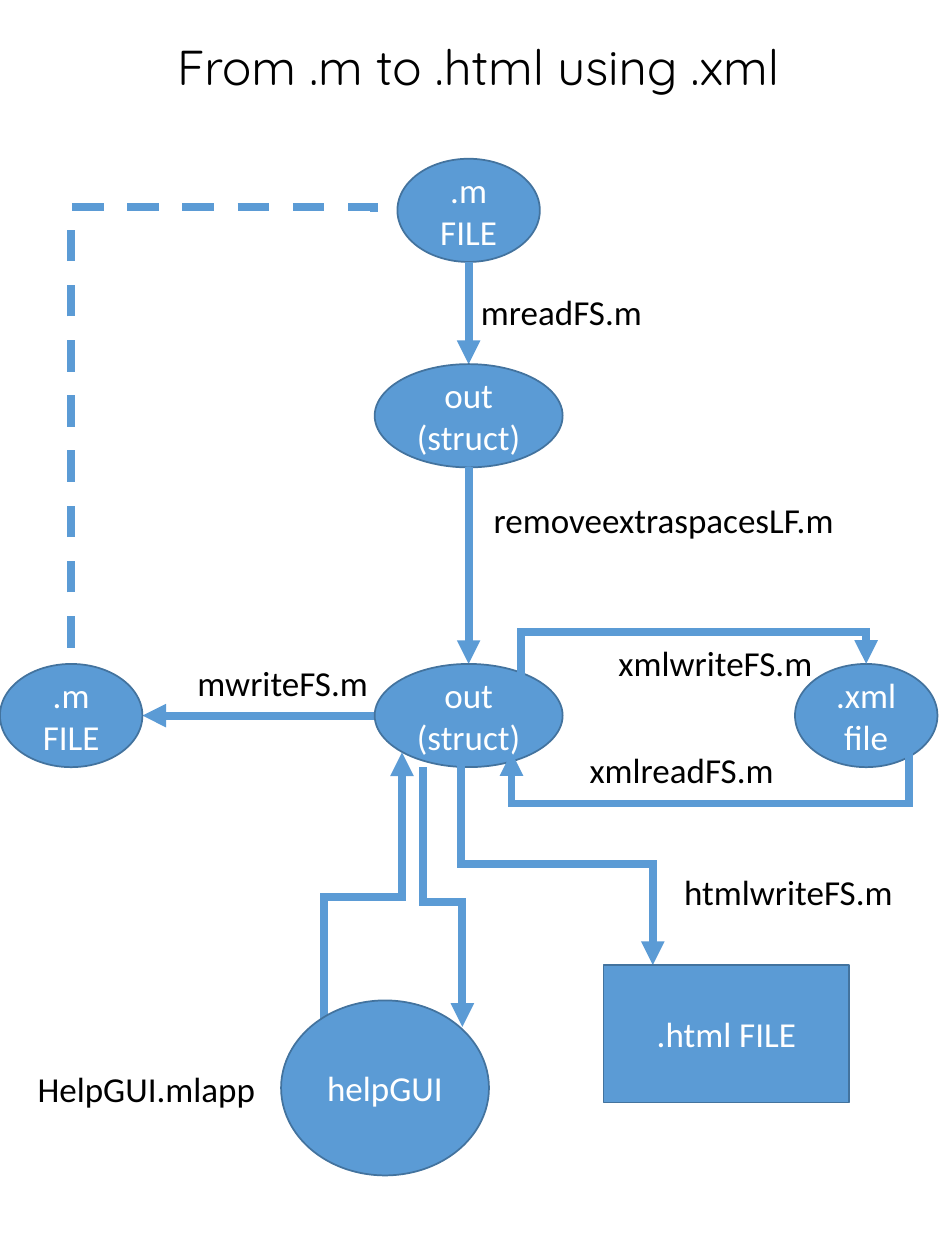
from lxml.etree import SubElement
from pptx import Presentation
from pptx.dml.color import RGBColor
from pptx.enum.dml import MSO_LINE
from pptx.enum.shapes import MSO_CONNECTOR, MSO_SHAPE
from pptx.enum.text import MSO_ANCHOR, MSO_AUTO_SIZE, PP_ALIGN
from pptx.oxml.ns import qn
from pptx.util import Pt

BLUE = RGBColor(0x5B, 0x9B, 0xD5)
EDGE = RGBColor(0x43, 0x73, 0x9E)
WHITE = RGBColor(0xFF, 0xFF, 0xFF)
BLACK = RGBColor(0, 0, 0)

FILE_W, STRUCT_W, NODE_H = 81.4, 107.4, 59


def add_run(p, text, color, size=20, font="Calibri"):
    """Append one formatted run to a paragraph."""
    r = p.add_run()
    r.text = text
    r.font.size = Pt(size)
    r.font.name = font
    r.font.color.rgb = color


def add_node(s, x, y, w, h, *lines, kind=MSO_SHAPE.OVAL):
    """Add a blue node with one centred paragraph per line."""
    sp = s.shapes.add_shape(kind, Pt(x), Pt(y), Pt(w), Pt(h))
    sp.shadow.inherit = False
    sp.fill.solid()
    sp.fill.fore_color.rgb = BLUE
    sp.line.color.rgb = EDGE
    sp.line.width = Pt(1)
    tf = sp.text_frame
    tf.word_wrap = True
    tf.vertical_anchor = MSO_ANCHOR.MIDDLE
    for i, line in enumerate(lines):
        p = tf.add_paragraph() if i else tf.paragraphs[0]
        p.alignment = PP_ALIGN.CENTER
        add_run(p, line, WHITE)


def add_label(s, x, y, w, text):
    """Add a black function name beside an arrow."""
    tf = s.shapes.add_textbox(Pt(x), Pt(y), Pt(w), Pt(31.5)).text_frame
    tf.word_wrap = True
    add_run(tf.paragraphs[0], text, BLACK)


def style_line(sp, dashed=False):
    """Give a connector its thick blue line, dashed or with an arrowhead."""
    sp.line.color.rgb = BLUE
    sp.line.width = Pt(4.5)
    if dashed:
        sp.line.dash_style = MSO_LINE.DASH
    ln = sp.line._ln
    SubElement(ln, qn("a:miter"), lim="800000")
    if not dashed:
        SubElement(ln, qn("a:tailEnd"), type="triangle")
    SubElement(sp._element.spPr, qn("a:effectLst"))


def add_arrow(s, x1, y1, x2, y2):
    """Add a straight arrow."""
    style_line(s.shapes.add_connector(
        MSO_CONNECTOR.STRAIGHT, Pt(x1), Pt(y1), Pt(x2), Pt(y2)))


def add_elbow(s, x1, y1, x2, y2, via, dashed=False):
    """Add a vertical-horizontal-vertical connector crossing at height via."""
    dx, dy = x2 - x1, y2 - y1
    w, h = abs(dy), abs(dx)
    left, top = (x1 + x2 - w) / 2, (y1 + y2 - h) / 2
    sp = s.shapes.add_connector(
        MSO_CONNECTOR.ELBOW, Pt(left), Pt(top), Pt(left + w), Pt(top + h))
    xfrm = sp._element.spPr.find(qn("a:xfrm"))
    turn = 270 if dx > 0 and dy > 0 else 90
    xfrm.set("rot", str(turn * 60000))
    if dx > 0 or dy < 0:
        xfrm.set("flipH", "1")
    if dx > 0 and dy < 0:
        xfrm.set("flipV", "1")
    geom = sp._element.spPr.find(qn("a:prstGeom"))
    av = geom.find(qn("a:avLst"))
    if av is None:
        av = SubElement(geom, qn("a:avLst"))
    SubElement(av, qn("a:gd"), name="adj1",
               fmla=f"val {round((via - y1) / dy * 100000)}")
    style_line(sp, dashed)


def draw_title(s, x, y, w, h):
    """Place the title placeholder."""
    sp = s.shapes.title
    sp.left, sp.top, sp.width, sp.height = Pt(x), Pt(y), Pt(w), Pt(h)
    tf = sp.text_frame
    tf.auto_size = MSO_AUTO_SIZE.NONE
    tf.vertical_anchor = MSO_ANCHOR.TOP
    p = tf.paragraphs[0]
    p.alignment = PP_ALIGN.CENTER
    add_run(p, "From .m to .html using .xml", BLACK, 28, "Quicksand")


def draw_write_back(s, x, y, w, h):
    """Left region: the struct written back to an .m file."""
    node_y = y + h - NODE_H
    mid = x + FILE_W / 2
    add_arrow(s, x + w, node_y + NODE_H / 2, x + FILE_W, node_y + NODE_H / 2)
    add_node(s, x, node_y, FILE_W, NODE_H, ".m FILE")
    add_elbow(s, mid, node_y - 9.3, x + 213.8, y + 3, y, dashed=True)
    add_label(s, x + 105.8, node_y - 5, 160.6, "mwriteFS.m")


def draw_read_column(s, x, y, w, h):
    """Centre region: the .m file read and cleaned into a struct."""
    mid = x + w / 2
    first, last = y + 117.4, y + h - NODE_H
    add_node(s, mid - FILE_W / 2, y, FILE_W, NODE_H, ".m FILE")
    add_arrow(s, mid, y + NODE_H, mid, first)
    add_node(s, x, first, w, NODE_H, "out", "(struct)")
    add_arrow(s, mid, first + NODE_H, mid, last)
    add_node(s, x, last, w, NODE_H, "out (struct)")
    add_label(s, mid, y + 72, 160.6, "mreadFS.m")
    add_label(s, mid + 7.2, y + 190.8, 214.6, "removeextraspacesLF.m")


def draw_xml_loop(s, x, y, w, h):
    """Right region: the struct written to .xml and read again."""
    node_x = x + w - FILE_W
    add_node(s, node_x, y + 18, FILE_W, NODE_H, ".xml file")
    add_elbow(s, x + 5.4, y + 28.1, node_x + FILE_W / 2, y + 18, y)
    add_elbow(s, x + 227.1, y + 67, x, y + 68.4, y + h)
    add_label(s, x + 54, y + 1.5, 135.4, "xmlwriteFS.m")
    add_label(s, x + 37.5, y + 62.7, 160.6, "xmlreadFS.m")


def draw_outputs(s, x, y, w, h):
    """Bottom region: the help GUI and the .html file."""
    add_elbow(s, x + 170.6, y + 153.2, x + 215.3, y, y + 82.6)
    add_elbow(s, x + 227.5, y + 8.5, x + 249.8, y + 156.8, y + 85.5)
    add_node(s, x + 146.2, y + h - 100, 118.8, 100, "helpGUI")
    add_elbow(s, x + 249.1, y + 6.3, x + 358.6, y + 121.5, y + 63.9)
    add_node(s, x + w - 140.4, y + 121.5, 140.4, 78.5, ".html FILE",
             kind=MSO_SHAPE.FLOWCHART_PROCESS)
    add_label(s, x + 369.4, y + 63.9, 135.4, "htmlwriteFS.m")
    add_label(s, x, y + 176.2, 160.6, "HelpGUI.mlapp")


prs = Presentation()
prs.slide_width, prs.slide_height = Pt(540), Pt(720)
s = prs.slides.add_slide(prs.slide_layouts[5])
draw_title(s, 0, 17.3, 546.5, 41)
draw_write_back(s, 0, 118.1, 233.3, 320.3)
draw_read_column(s, 214.1, 90.7, STRUCT_W, 347.7)
draw_xml_loop(s, 292.3, 361.4, 243.4, 98)
draw_outputs(s, 14.4, 430, 470.9, 241.7)
prs.save("out.pptx")
